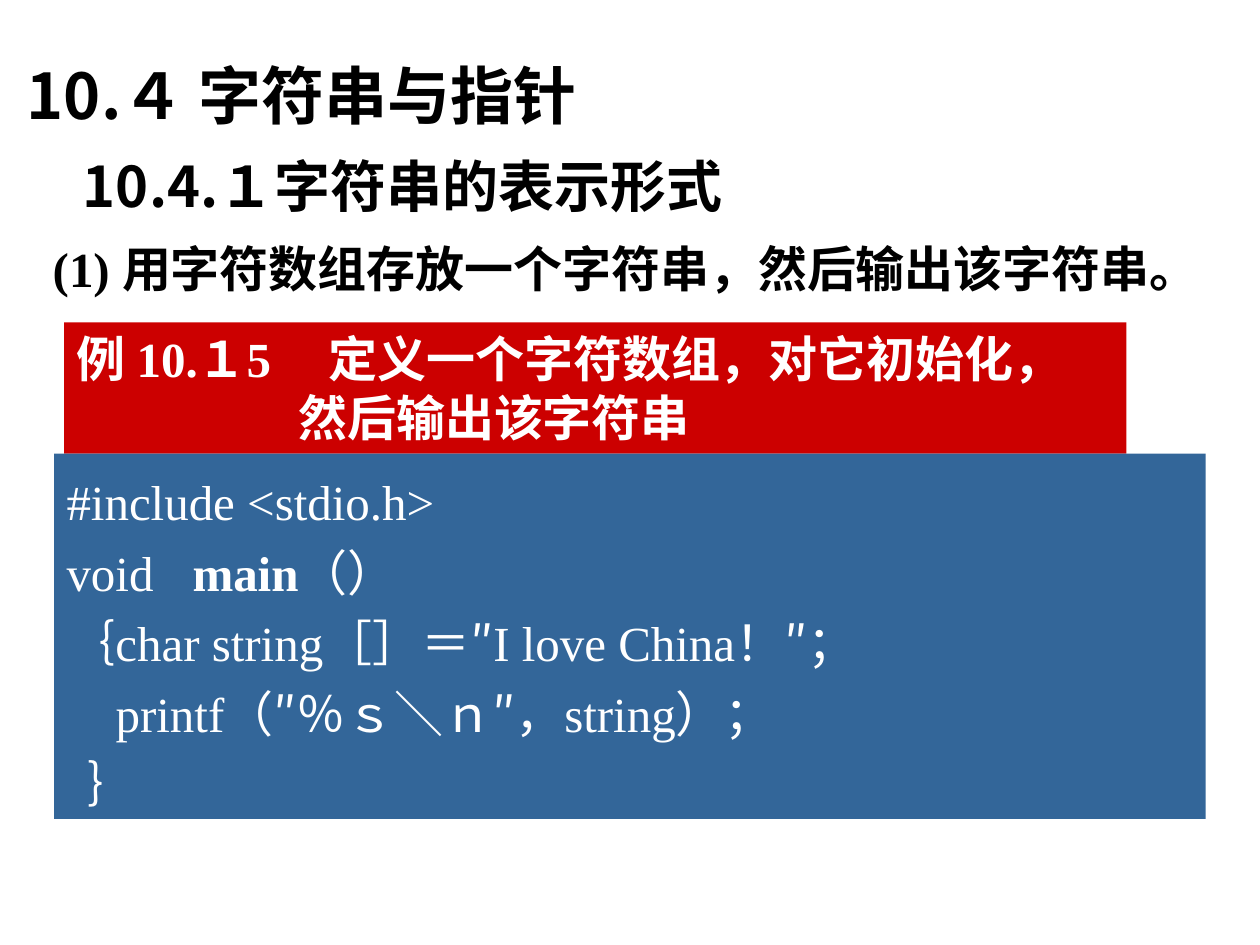
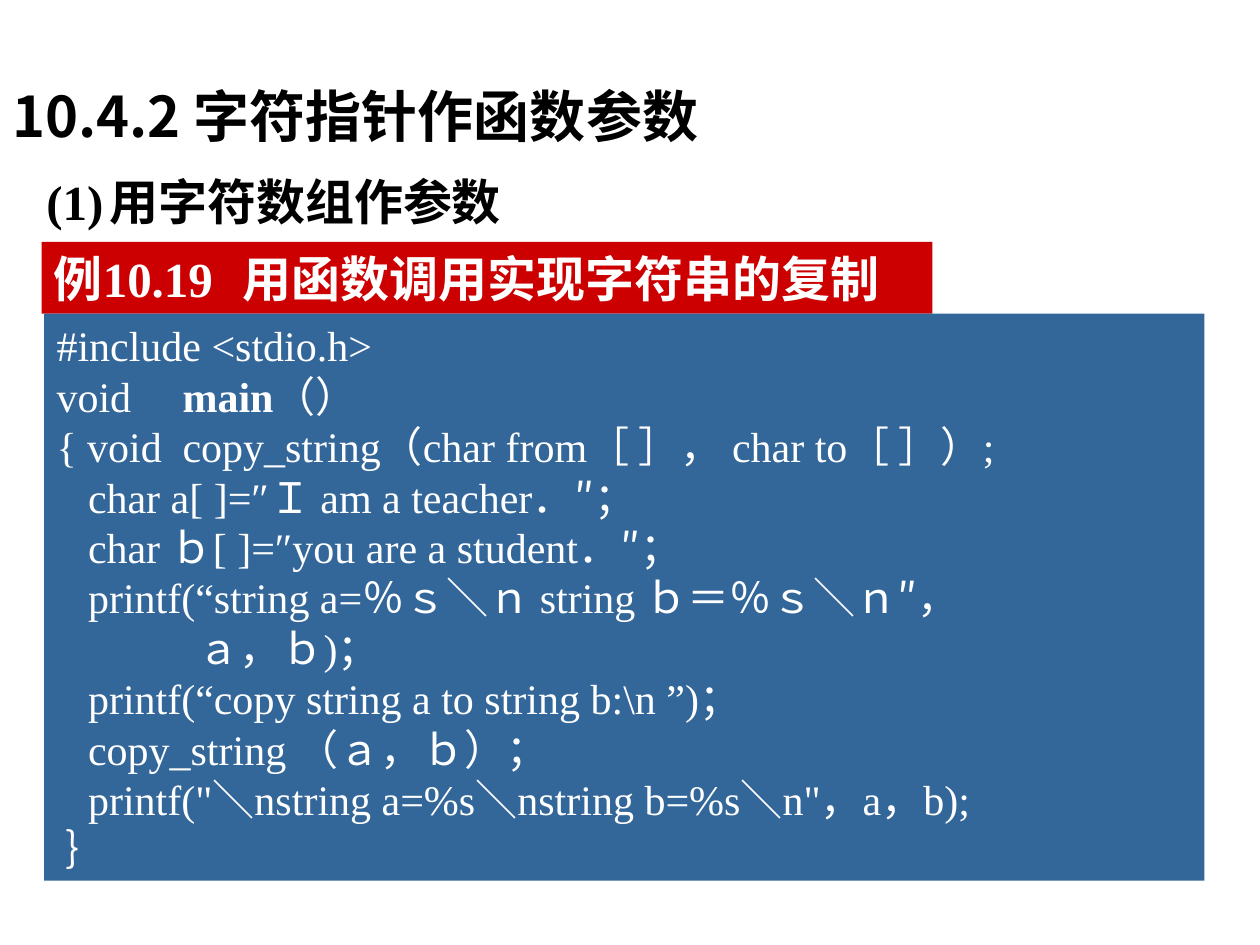
import pptx
import pptx.dml.color
import pptx.enum.shapes
import pptx.enum.text
import pptx.oxml.ns
import pptx.util
from lxml import etree
from pptx.util import Inches

BLACK = pptx.dml.color.RGBColor(0x00, 0x00, 0x00)
WHITE = pptx.dml.color.RGBColor(0xFF, 0xFF, 0xFF)
RED = pptx.dml.color.RGBColor(0xCC, 0x00, 0x00)
BLUE = pptx.dml.color.RGBColor(0x33, 0x66, 0x99)
CHINESE_FONT = "Noto Sans CJK SC"
BODY_FONT = "Times New Roman"

STYLES = {
    "chapter": dict(font=CHINESE_FONT, size=36, color=BLACK, bold=True),
    "section": dict(font=CHINESE_FONT, size=32, color=BLACK, bold=True),
    "topic": dict(font=BODY_FONT, size=28, color=BLACK, bold=True),
    "example": dict(font=BODY_FONT, size=28, color=WHITE, bold=True, fill=RED),
    "code": dict(font=BODY_FONT, size=28, color=WHITE, bold=False, fill=BLUE, spacing=1.2),
    "dense code": dict(font=BODY_FONT, size=24, color=WHITE, bold=False, fill=BLUE),
}

# Each line: text, left indent, tab stop
SLIDES = [
    [
        ("chapter", (0, 0.37, 7.05, 0.76), [(" 10.４ 字符串与指针", 0, 0)]),
        ("section", (0.56, 1.15, 5.51, 0.64), [("10.4.１字符串的表示形式", 0, 0)]),
        ("example", (0.51, 2.56, 8.43, 1.04), [
            ("例 10.１5\t定义一个字符数组，对它初始化，", 0, 2.29),
            ("然后输出该字符串", 1.76, 0),
        ]),
        ("code", (0.43, 3.6, 9.14, 2.9), [
            ("#include <stdio.h>", 0, 0),
            ("void\tmain（）", 0, 0.89),
            ("｛char string［］＝″I love China！″；", 0, 0),
            ("printf（″％ｓ＼ｎ″，string）；", 0.39, 0),
            ("｝", 0.17, 0),
        ]),
        ("topic", (0.32, 1.84, 9.38, 0.57),
         [("(1) 用字符数组存放一个字符串，然后输出该字符串。", 0, 0)]),
    ],
    [
        ("section", (0, 0.6, 5.87, 0.64), [("10.4.2 字符指针作函数参数", 0, 0)]),
        ("example", (0.33, 1.92, 7.07, 0.57),
         [("例10.19\t用函数调用实现字符串的复制", 0, 1.72)]),
        ("dense code", (0.35, 2.49, 9.21, 4.5), [
            ("#include <stdio.h>", 0, 0),
            ("void\tmain（）", 0, 0.76),
            ("{ void\tcopy_string（char from［ ］， char to［ ］）;", 0, 1.01),
            ("char a[ ]=″Ｉ am a teacher．″；", 0.25, 0),
            ("char ｂ[ ]=″you are a student．″；", 0.25, 0),
            ("printf(“string a=％ｓ＼ｎ string ｂ＝％ｓ＼ｎ″，", 0.25, 0),
            ("ａ，ｂ)；", 1.12, 0),
            ("printf(“copy string a to string b:\\n ”)；", 0.25, 0),
            ("copy_string （ａ，ｂ）；", 0.25, 0),
            ("printf(\"＼nstring a=%s＼nstring b=%s＼n\"，a，b);", 0.25, 0),
            ("｝", 0.07, 0),
        ]),
        ("topic", (0.27, 1.31, 4.08, 0.57), [("(1)\t用字符数组作参数", 0, 0.75)]),
    ],
]


def add_child(parent, tag, **attributes):
    child = etree.SubElement(parent, pptx.oxml.ns.qn(tag))
    for name, value in attributes.items():
        child.set(name, str(value))
    return child


def write_line(paragraph, line, style):
    text, indent, tab = line
    paragraph.alignment = pptx.enum.text.PP_ALIGN.LEFT
    paragraph.line_spacing = style.get("spacing", 1.0)
    properties = paragraph._p.get_or_add_pPr()
    properties.set("marL", str(Inches(indent)))
    properties.set("indent", "0")
    if tab:
        tabs = add_child(properties, "a:tabLst")
        add_child(tabs, "a:tab", pos=Inches(tab), algn="l")
    for part in filter(None, text.partition("main")):
        run = paragraph.add_run()
        run.text = part
        run.font.name = style["font"]
        run.font.size = pptx.util.Pt(style["size"])
        run.font.bold = style["bold"] or part == "main"
        run.font.color.rgb = style["color"]
        add_child(run._r.get_or_add_rPr(), "a:ea", typeface=CHINESE_FONT)


def add_block(slide, kind, box, lines):
    style = STYLES[kind]
    place = [Inches(length) for length in box]
    if "fill" in style:
        shape = slide.shapes.add_shape(pptx.enum.shapes.MSO_SHAPE.RECTANGLE, *place)
        shape.shadow.inherit = False
        shape.fill.solid()
        shape.fill.fore_color.rgb = style["fill"]
        shape.line.fill.background()
    else:
        shape = slide.shapes.add_textbox(*place)
    frame = shape.text_frame
    frame.word_wrap = True
    frame.margin_right = 0
    anchors = pptx.enum.text.MSO_ANCHOR
    frame.vertical_anchor = anchors.MIDDLE if kind == "chapter" else anchors.TOP
    for number, line in enumerate(lines):
        paragraph = frame.add_paragraph() if number else frame.paragraphs[0]
        write_line(paragraph, line, style)


def main():
    presentation = pptx.Presentation()
    presentation.slide_width = Inches(10)
    presentation.slide_height = Inches(7.5)
    for blocks in SLIDES:
        slide = presentation.slides.add_slide(presentation.slide_layouts[6])
        for block in blocks:
            add_block(slide, *block)
    presentation.save("out.pptx")


if __name__ == "__main__":
    main()
